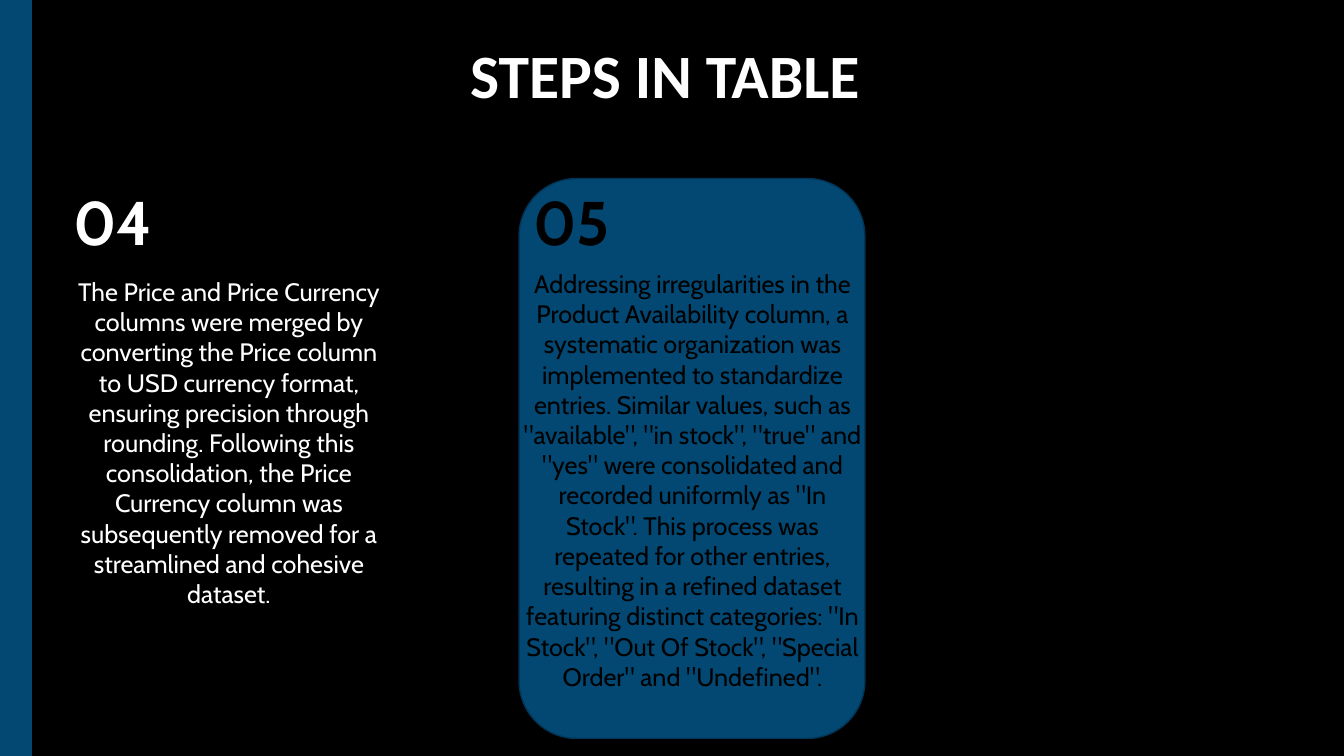
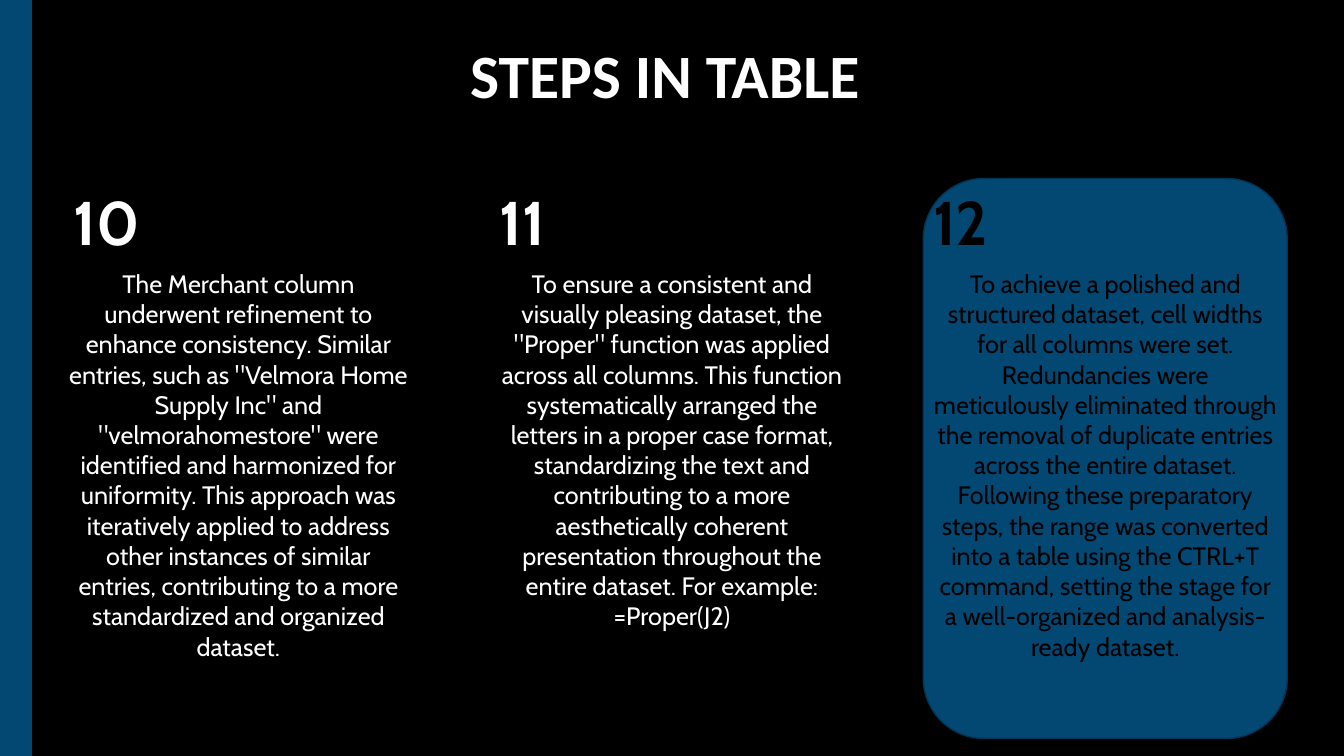
import dataclasses

import pptx
import pptx.dml.color
import pptx.enum.shapes
import pptx.enum.text
import pptx.util

Pt = pptx.util.Pt
KIND = pptx.enum.shapes.MSO_SHAPE
ALIGN = pptx.enum.text.PP_ALIGN
ANCHOR = pptx.enum.text.MSO_ANCHOR

WIDE, HIGH = 960, 540
BLACK, WHITE, BLUE, EDGE = "000000", "FFFFFF", "024873", "013555"
TOP = 127.5
BODY_TOP = 188
CARD_HIGH = 400

TITLE = {"name": "Calibri", "size": Pt(44), "bold": True}
NUMBER = {"name": "Cabin", "size": Pt(44), "bold": True}
BODY = {"name": "Cabin", "size": Pt(18), "bold": False}


@dataclasses.dataclass
class Box:
    left: float
    top: float
    width: float
    height: float

    def place(self) -> list:
        return [Pt(side) for side in dataclasses.astuple(self)]


@dataclasses.dataclass
class Step:
    """One numbered column; card is the (left, width) of its blue panel."""
    number: str
    left: float
    body: Box
    text: str
    card: tuple[float, float] | None = None


def rgb(code: str) -> pptx.dml.color.RGBColor:
    return pptx.dml.color.RGBColor.from_string(code)


def add_panel(slide, kind, box: Box, edge: str) -> None:
    shape = slide.shapes.add_shape(kind, *box.place())
    shape.shadow.inherit = False
    shape.fill.solid()
    shape.fill.fore_color.rgb = rgb(BLUE)
    shape.line.color.rgb = rgb(edge)
    shape.line.width = Pt(1)


def add_text(slide, box: Box, text: str, style: dict, color: str,
             align=ALIGN.CENTER, anchor=ANCHOR.TOP, spacing: float = 1.0) -> None:
    frame = slide.shapes.add_textbox(*box.place()).text_frame
    frame.word_wrap = True
    frame.vertical_anchor = anchor
    frame.text = text
    for para in frame.paragraphs:
        para.alignment = align
        para.line_spacing = spacing
        for run in para.runs:
            for key, value in style.items():
                setattr(run.font, key, value)
            run.font.color.rgb = rgb(color)


def add_step(slide, step: Step) -> None:
    color = WHITE
    if step.card:
        color = BLACK
        left, width = step.card
        add_panel(slide, KIND.ROUNDED_RECTANGLE,
                  Box(left, TOP, width, CARD_HIGH), EDGE)
    add_text(slide, Box(step.left, TOP, 116.5, 60.5), step.number,
             NUMBER, color, align=ALIGN.LEFT)
    add_text(slide, step.body, step.text, BODY, color)


def add_slide(deck, steps: list[Step]) -> None:
    slide = deck.slides.add_slide(deck.slide_layouts[6])
    slide.background.fill.solid()
    slide.background.fill.fore_color.rgb = rgb(BLACK)
    add_panel(slide, KIND.RECTANGLE, Box(0, 0, 22.3, HIGH), BLUE)
    add_text(slide, Box(0, 16.5, WIDE, 67), "STEPS IN TABLE ", TITLE, WHITE,
             anchor=ANCHOR.BOTTOM, spacing=0.9)
    for step in steps:
        add_step(slide, step)


SLIDES = [
    [
        Step("04", 45.4, Box(45.4, 193.7, 236.2, 247),
             "The Price and Price Currency columns were merged by converting "
             "the Price column to USD currency format, ensuring precision "
             "through rounding. Following this consolidation, the Price "
             "Currency column was subsequently removed for a streamlined and "
             "cohesive dataset."),
        Step("05", 373.7, Box(366.5, BODY_TOP, 256.3, 312.5),
             'Addressing irregularities in the Product Availability column, a '
             'systematic organization was implemented to standardize entries. '
             'Similar values, such as "available", "in stock", "true" and '
             '"yes" were consolidated and recorded uniformly as "In Stock". '
             'This process was repeated for other entries, resulting in a '
             'refined dataset featuring distinct categories: "In Stock", '
             '"Out Of Stock", "Special Order" and "Undefined".',
             card=(370.8, 247)),
    ],
    [
        Step("10", 45.4, Box(40.3, BODY_TOP, 260, 291),
             'The Merchant column underwent refinement to enhance '
             'consistency. Similar entries, such as "Velmora Home '
             'Supply Inc" and "velmorahomestore" were identified and '
             'harmonized for uniformity. This approach was iteratively '
             'applied to address other instances of similar entries, '
             'contributing to a more standardized and organized dataset.'),
        Step("11", 350, Box(350, BODY_TOP, 260, 269),
             'To ensure a consistent and visually pleasing dataset, the '
             '"Proper" function was applied across all columns. This function '
             'systematically arranged the letters in a proper case format, '
             'standardizing the text and contributing to a more aesthetically '
             'coherent presentation throughout the entire dataset. For '
             'example:\n=Proper(J2)'),
        Step("12", 659.5, Box(659.5, BODY_TOP, 260, 291),
             "To achieve a polished and structured dataset, cell widths for "
             "all columns were set. Redundancies were meticulously eliminated "
             "through the removal of duplicate entries across the entire "
             "dataset. Following these preparatory steps, the range was "
             "converted into a table using the CTRL+T command, setting the "
             "stage for a well-organized and analysis-ready dataset.",
             card=(659.5, 260)),
    ],
]


def main() -> None:
    deck = pptx.Presentation()
    deck.slide_width, deck.slide_height = Pt(WIDE), Pt(HIGH)
    for steps in SLIDES:
        add_slide(deck, steps)
    deck.save("out.pptx")


if __name__ == "__main__":
    main()
